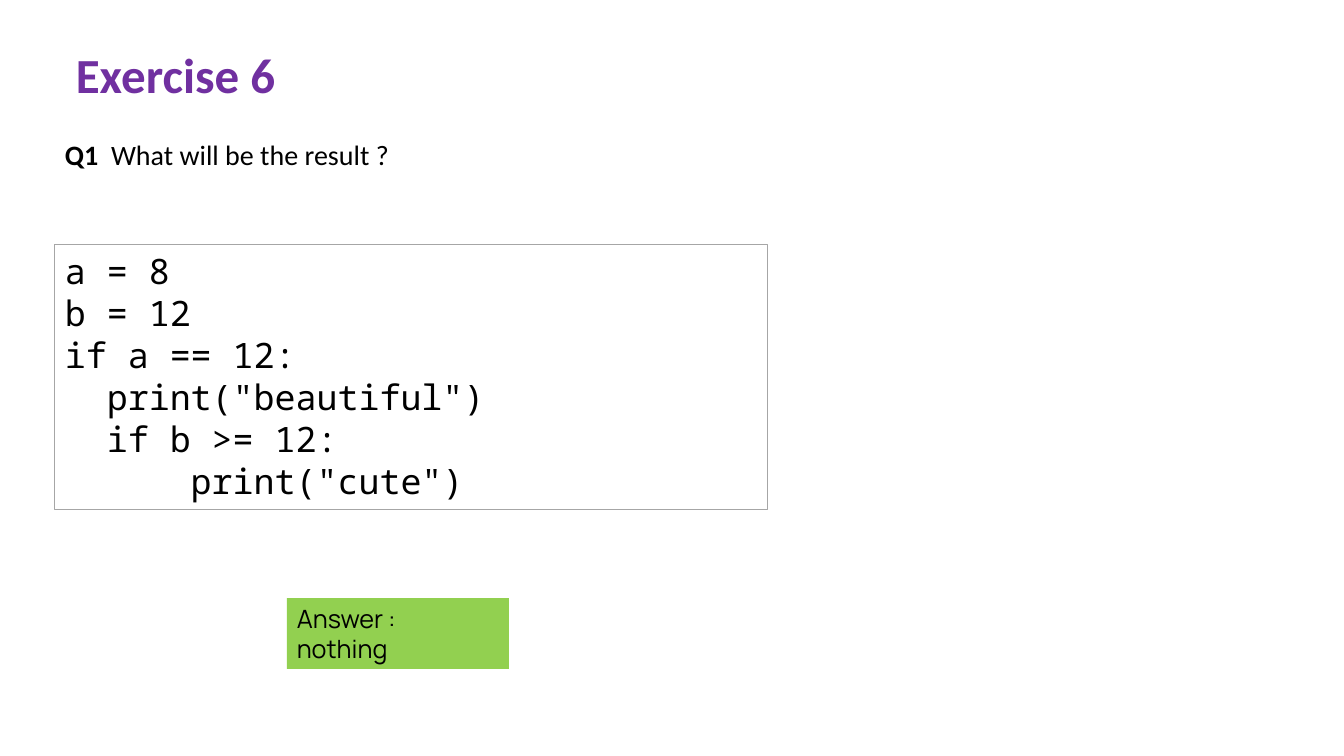
from pptx import Presentation
from pptx.dml.color import RGBColor
from pptx.enum.shapes import MSO_SHAPE
from pptx.enum.text import MSO_ANCHOR, MSO_AUTO_SIZE, PP_ALIGN
from pptx.util import Emu, Pt

RECTANGLE = MSO_SHAPE.RECTANGLE
TOP = MSO_ANCHOR.TOP
LEFT = PP_ALIGN.LEFT
GROW = MSO_AUTO_SIZE.SHAPE_TO_FIT_TEXT
EMU_PER_PX = 914400 / 100.8
COLORS = {"title": "7030A0", "text": "000000", "border": "A6A6A6", "answer": "92D050"}
CODE = [
    "a = 8",
    "b = 12",
    "if a == 12:",
    '  print("beautiful")',
    "  if b >= 12:",
    '      print("cute")',
]


def px(length):
    return Emu(round(length * EMU_PER_PX))


def color(name):
    return RGBColor.from_string(COLORS[name])


class ExerciseSlide:
    """Draws labels and boxes in the exercise style on one slide."""

    def __init__(self, presentation):
        self.slide = presentation.slides.add_slide(presentation.slide_layouts[6])

    def fill_text(self, text_frame, paragraphs, font, size, ink, wrap):
        text_frame.word_wrap = wrap
        text_frame.auto_size = GROW
        text_frame.vertical_anchor = TOP
        for index, runs in enumerate(paragraphs):
            paragraph = text_frame.paragraphs[0] if index == 0 else text_frame.add_paragraph()
            paragraph.alignment = LEFT
            for text, bold in runs:
                for number, line in enumerate(text.split("\n")):
                    if number:
                        paragraph.add_line_break()
                    run = paragraph.add_run()
                    run.text = line
                    run.font.name = font
                    run.font.size = Pt(size)
                    run.font.bold = bold
                    run.font.color.rgb = color(ink)

    def label(self, box, runs, size, ink="text"):
        shape = self.slide.shapes.add_textbox(*map(px, box))
        self.fill_text(shape.text_frame, [runs], "Calibri", size, ink, False)

    def box(self, box, lines, font, size, fill=None, border=None):
        shape = self.slide.shapes.add_shape(RECTANGLE, *map(px, box))
        shape.shadow.inherit = False
        if fill:
            shape.fill.solid()
            shape.fill.fore_color.rgb = color(fill)
        else:
            shape.fill.background()
        if border:
            shape.line.color.rgb = color(border)
            shape.line.width = Pt(0.75)
        else:
            shape.line.fill.background()
        paragraphs = [[(line, False)] for line in lines]
        self.fill_text(shape.text_frame, paragraphs, font, size, "text", True)


def main():
    presentation = Presentation()
    presentation.slide_width = px(1344)
    presentation.slide_height = px(756)
    exercise = ExerciseSlide(presentation)
    exercise.label((66, 40, 222, 70), [("Exercise 6", True)], 35, "title")
    exercise.label((55, 133, 348, 44), [("Q1 ", True), (" What will be the result ?", False)], 20)
    exercise.box((55, 245, 713, 265), ["\n".join(CODE)], "Noto Sans Mono", 25, border="border")
    exercise.box((287, 598, 222, 71), ["Answer :", "nothing"], "Manrope", 18, fill="answer")
    presentation.save("out.pptx")


if __name__ == "__main__":
    main()
